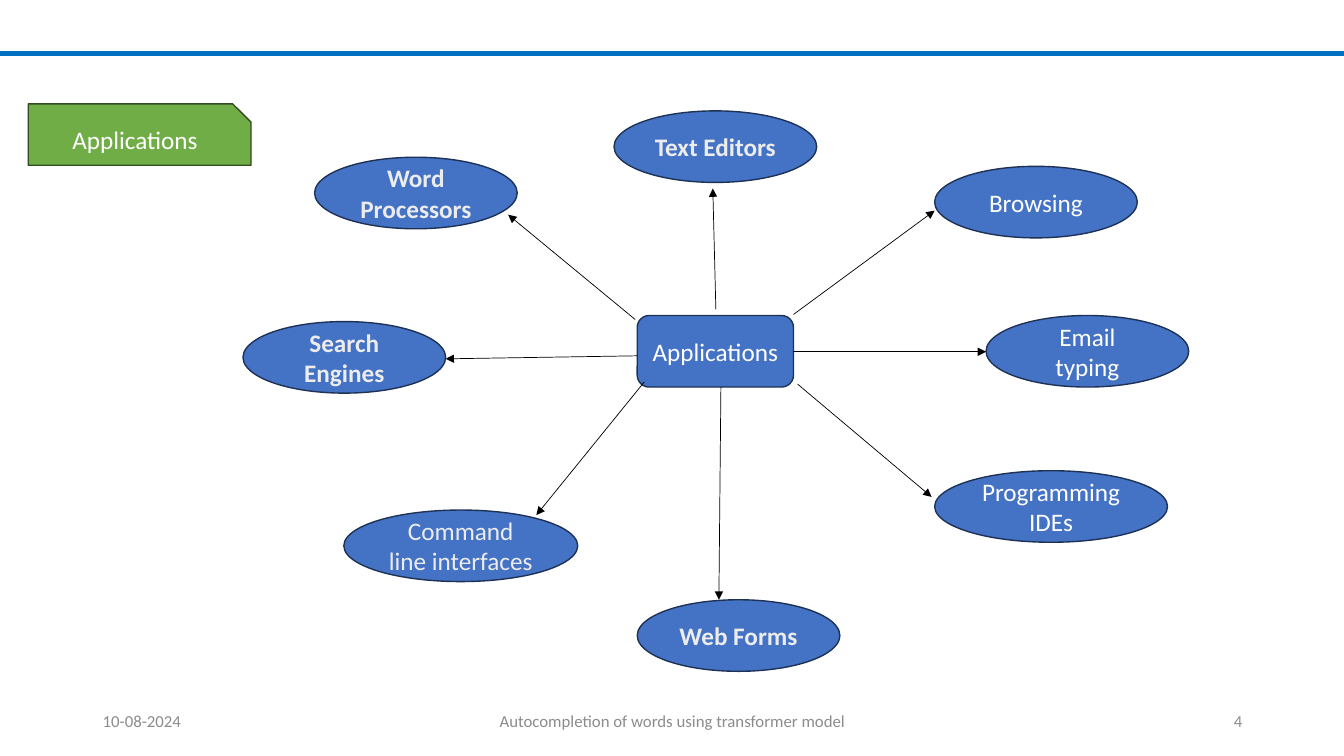
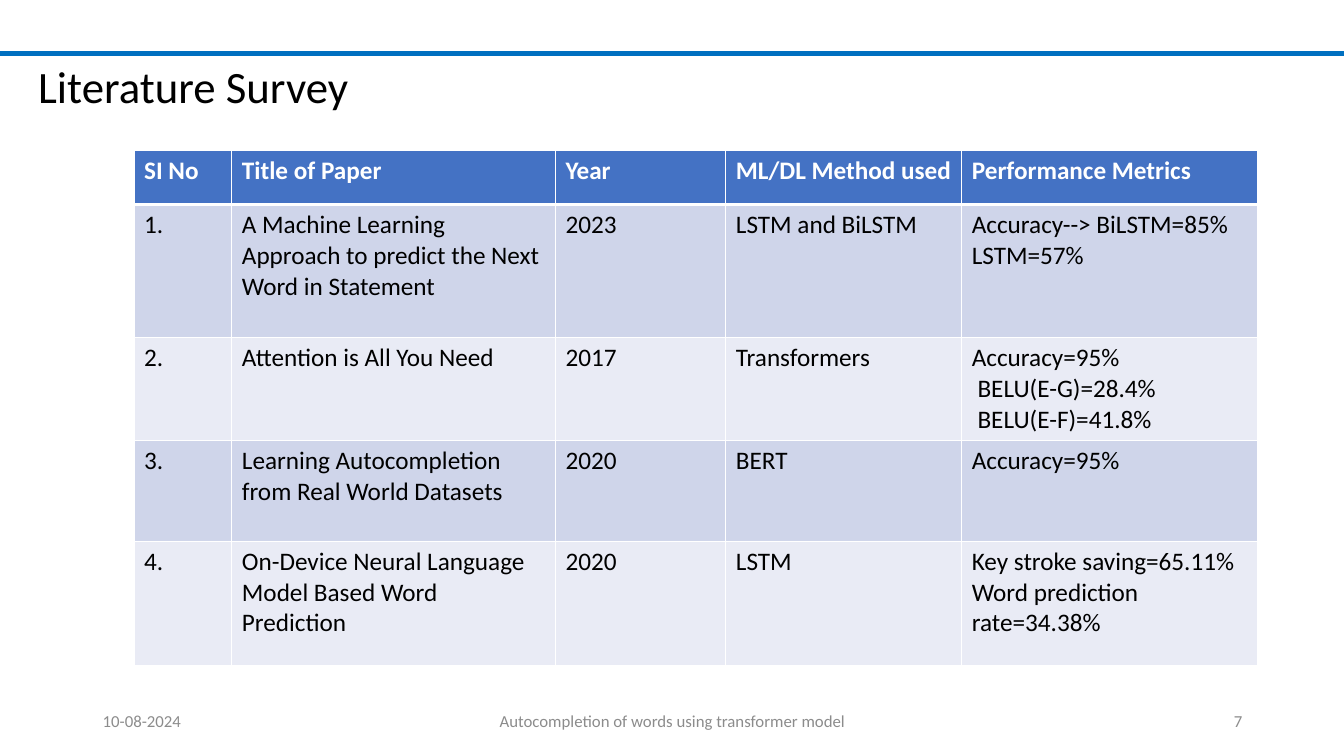
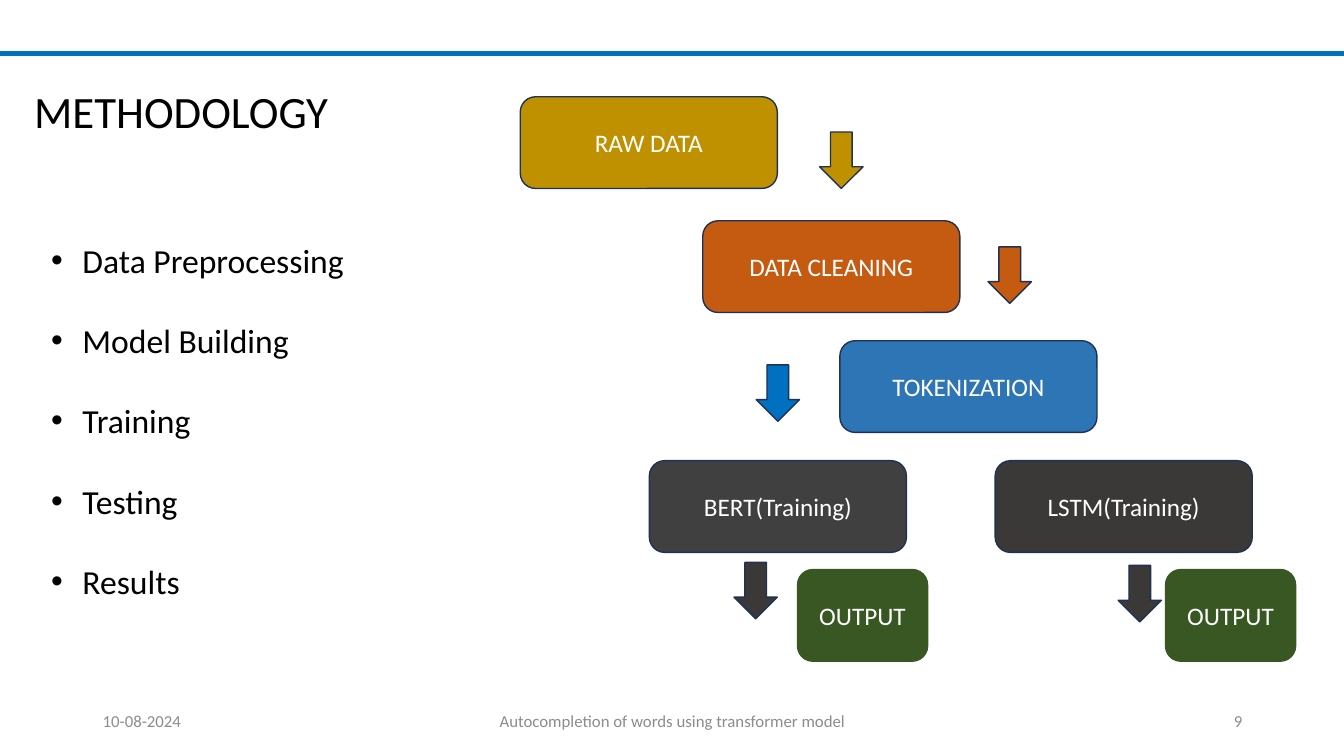
from lxml import etree
from pptx import Presentation
from pptx.dml.color import RGBColor
from pptx.enum import shapes, text
from pptx.oxml import ns
from pptx.util import Inches, Pt

BLACK = RGBColor(0, 0, 0)
WHITE = RGBColor(255, 255, 255)
PALE = RGBColor(0xEC, 0xEC, 0xEC)
GREY = RGBColor(0x8C, 0x8C, 0x8C)
RULE = RGBColor(0x00, 0x70, 0xC0)
BLUE = RGBColor(0x44, 0x72, 0xC4)
NAVY = RGBColor(0x1E, 0x32, 0x56)
GREEN = RGBColor(0x70, 0xAD, 0x47)
MOSS = RGBColor(0x31, 0x4C, 0x1F)
FOREST = RGBColor(0x38, 0x57, 0x23)
GOLD = RGBColor(0xBF, 0x90, 0x00)
RUST = RGBColor(0xC5, 0x5A, 0x11)
SKY = RGBColor(0x2E, 0x75, 0xB6)
COAL = RGBColor(0x3B, 0x38, 0x38)
SLATE = RGBColor(0x40, 0x40, 0x40)
BANDS = [RGBColor(0xCF, 0xD5, 0xEA), RGBColor(0xE9, 0xEB, 0xF5)]

FONT = "Calibri"
KIND = shapes.MSO_SHAPE
ALIGN = text.PP_ALIGN
MID = text.MSO_ANCHOR.MIDDLE


# Shared helpers
def style(para, size, color, bold=False, align=ALIGN.LEFT):
    font = para.font
    font.name, font.size, font.bold = FONT, Pt(size), bold
    font.color.rgb = color
    para.alignment = align


def label(slide, box, words, size, color=BLACK, align=ALIGN.LEFT,
          wrap=True, anchor=text.MSO_ANCHOR.TOP):
    frame = slide.shapes.add_textbox(*map(Inches, box)).text_frame
    frame.word_wrap, frame.vertical_anchor = wrap, anchor
    frame.text = words
    for para in frame.paragraphs:
        style(para, size, color, align=align)
    return frame


def shape(slide, kind, box, fill, edge=NAVY, words="", color=WHITE, bold=False):
    item = slide.shapes.add_shape(kind, *map(Inches, box))
    item.shadow.inherit = False
    item.fill.solid()
    item.fill.fore_color.rgb = fill
    item.line.color.rgb = edge
    item.line.width = Pt(1)
    if words:
        frame = item.text_frame
        frame.word_wrap, frame.vertical_anchor = True, MID
        frame.text = words
        style(frame.paragraphs[0], 18, color, bold, ALIGN.CENTER)
    return item


def line(slide, start, end, color, width, arrow=False):
    item = slide.shapes.add_connector(
        shapes.MSO_CONNECTOR.STRAIGHT, *map(Inches, start + end))
    item.line.color.rgb = color
    item.line.width = Pt(width)
    if arrow:
        etree.SubElement(item.line._get_or_add_ln(), ns.qn("a:tailEnd"),
                         type="triangle")
    etree.SubElement(item._element.spPr, ns.qn("a:effectLst"))


def page(deck, number):
    """Blank slide with the top rule and the footer."""
    slide = deck.slides.add_slide(deck.slide_layouts[6])
    line(slide, (0, 0.53), (13.33, 0.53), RULE, 3)
    for x, w, words, align in (
            (0.92, 3, "10-08-2024", ALIGN.LEFT),
            (4.42, 4.5, "Autocompletion of words using transformer model",
             ALIGN.CENTER),
            (9.42, 3, str(number), ALIGN.RIGHT)):
        label(slide, (x, 6.95, w, 0.4), words, 12, GREY, align, anchor=MID)
    return slide


def title(slide, x, y, words):
    label(slide, (x, y, 3.3, 0.64), words, 32, wrap=False)


# Hub and spokes: oval place and width, arrow start and end
SPOKES = [
    ("Browsing", 6.86, 0.55, 2.01, WHITE, False, (5.46, 2.02), (6.86, 0.99)),
    ("Email typing", 7.37, 2.03, 2.01, WHITE, False, (5.46, 2.39), (7.37, 2.39)),
    ("Programming IDEs", 6.86, 3.57, 2.31, WHITE, False, (5.5, 2.71), (6.83, 3.83)),
    ("Text Editors", 3.68, 0, 2.01, PALE, True, (4.69, 1.97), (4.66, 0.77)),
    ("Web Forms", 3.91, 4.85, 2.01, PALE, True, (4.74, 2.74), (4.72, 4.85)),
    ("Command line interfaces", 1, 3.96, 2.32, PALE, False, (3.98, 2.69), (2.91, 4.01)),
    ("Search Engines", 0, 2.09, 2.01, PALE, True, (3.91, 2.43), (2.01, 2.46)),
    ("Word Processors", 0.71, 0.46, 2.01, PALE, True, (3.89, 2.07), (2.63, 1.03)),
]


def wheel(slide, x, y):
    high = 0.71
    shape(slide, KIND.ROUNDED_RECTANGLE, (x + 3.91, y + 2.03, 1.55, high),
          BLUE, words="Applications")
    for words, dx, dy, w, color, bold, start, end in SPOKES:
        shape(slide, KIND.OVAL, (x + dx, y + dy, w, high), BLUE,
              words=words, color=color, bold=bold)
        line(slide, (x + start[0], y + start[1]), (x + end[0], y + end[1]),
             BLACK, 0.5, arrow=True)


# Survey table
PAPERS = [
    ("SI No", "Title of Paper", "Year", "ML/DL Method used", "Performance Metrics"),
    ("1.", "A Machine Learning Approach to predict the Next Word in Statement",
     "2023", "LSTM and BiLSTM", "Accuracy--> BiLSTM=85%\nLSTM=57%"),
    ("2.", "Attention is All You Need", "2017", "Transformers",
     "Accuracy=95%\n BELU(E-G)=28.4%\n BELU(E-F)=41.8%"),
    ("3.", "Learning Autocompletion from Real World Datasets", "2020", "BERT",
     "Accuracy=95%"),
    ("4.", "On-Device Neural Language Model Based Word Prediction", "2020", "LSTM",
     "Key stroke saving=65.11%\nWord prediction rate=34.38%"),
]
COLS = [0.97, 3.21, 1.69, 2.34, 2.93]
ROWS = [0.54, 1.32, 1.02, 1, 1.23]


def border(cell, row):
    props = cell._tc.get_or_add_tcPr()
    thick = {"T": row == 1, "B": row == 0}
    for side in "LRTB":
        edge = etree.SubElement(props, ns.qn("a:ln" + side),
                                w=str(Pt(3 if thick.get(side) else 1)))
        fill = etree.SubElement(edge, ns.qn("a:solidFill"))
        etree.SubElement(fill, ns.qn("a:srgbClr"), val=str(WHITE))


def survey(slide, x, y):
    grid = slide.shapes.add_table(
        len(ROWS), len(COLS),
        *map(Inches, (x, y, sum(COLS), sum(ROWS)))).table
    for col, w in zip(grid.columns, COLS):
        col.width = Inches(w)
    for r, (row, h) in enumerate(zip(grid.rows, ROWS)):
        row.height = Inches(h)
        head = r == 0
        for cell, words in zip(row.cells, PAPERS[r]):
            border(cell, r)
            cell.fill.solid()
            cell.fill.fore_color.rgb = BLUE if head else BANDS[(r - 1) % 2]
            cell.text = words
            for para in cell.text_frame.paragraphs:
                style(para, 18, WHITE if head else BLACK, head)


# Method steps and flow
STEPS = ["Data Preprocessing", "Model Building", "Training", "Testing", "Results"]
BLOCKS = [
    ("RAW DATA", 0, 0, 2.55, GOLD, NAVY),
    ("DATA CLEANING", 1.81, 1.23, 2.55, RUST, NAVY),
    ("TOKENIZATION", 3.17, 2.42, 2.55, SKY, NAVY),
    ("LSTM(Training)", 4.71, 3.61, 2.55, COAL, NAVY),
    ("BERT(Training)", 1.28, 3.61, 2.55, SLATE, NAVY),
    ("OUTPUT", 2.75, 4.69, 1.29, FOREST, FOREST),
    ("OUTPUT", 6.4, 4.69, 1.29, FOREST, FOREST),
]
ARROWS = [(2.97, 0.35, GOLD), (4.64, 1.49, RUST), (2.34, 2.66, RULE),
          (2.12, 4.62, COAL), (5.93, 4.65, COAL)]


def steps(slide, x, y):
    frame = label(slide, (x, y, 3.61, 3.74), "\n".join(STEPS), 24)
    for para in frame.paragraphs:
        para.space_after = Pt(28.5)
        props = para._p.get_or_add_pPr()
        props.set("marL", str(Inches(0.31)))
        props.set("indent", str(-Inches(0.31)))
        font = etree.Element(ns.qn("a:buFont"), typeface="Arial")
        mark = etree.Element(ns.qn("a:buChar"), char="•")
        at = props.index(props.find(ns.qn("a:defRPr")))
        props[at:at] = [font, mark]


def flow(slide, x, y):
    for words, dx, dy, w, fill, edge in BLOCKS:
        shape(slide, KIND.ROUNDED_RECTANGLE, (x + dx, y + dy, w, 0.91),
              fill, edge, words)
    for dx, dy, fill in ARROWS:
        shape(slide, KIND.DOWN_ARROW, (x + dx, y + dy, 0.43, 0.56), fill)


def main():
    deck = Presentation()
    deck.slide_width, deck.slide_height = Inches(13.33), Inches(7.5)

    # Applications
    slide = page(deck, 4)
    wheel(slide, 2.41, 1.1)
    tag = shape(slide, KIND.SNIP_1_RECTANGLE, (0.28, 1.03, 2.21, 0.61),
                GREEN, MOSS, "Applications")
    tag.adjustments[0] = 0.3

    # Literature survey
    slide = page(deck, 7)
    survey(slide, 1.33, 1.49)
    title(slide, 0.28, 0.53, "Literature Survey")

    # Methodology
    slide = page(deck, 9)
    flow(slide, 5.16, 0.96)
    title(slide, 0.24, 0.78, "METHODOLOGY")
    steps(slide, 0.41, 2.33)

    deck.save("out.pptx")


if __name__ == "__main__":
    main()
